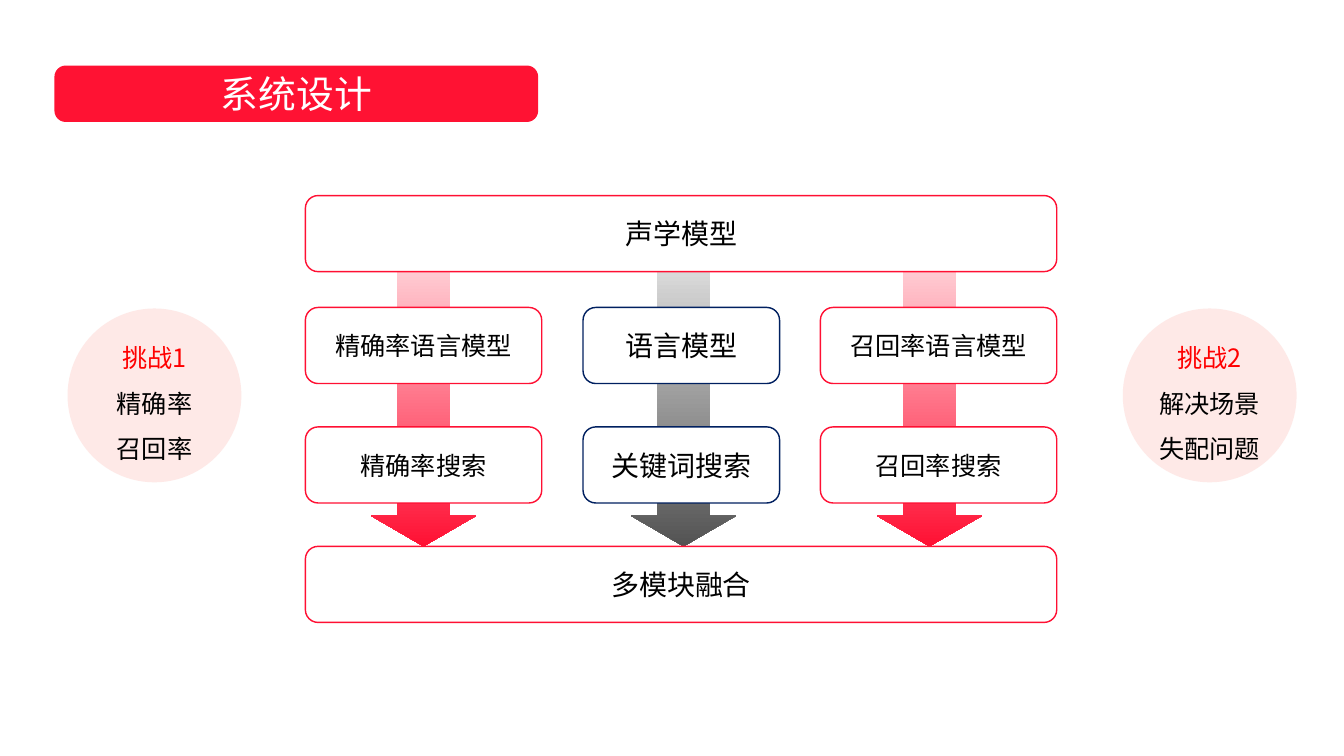
import pptx
import pptx.util
import pptx.dml.color
import pptx.enum.shapes
import pptx.enum.text
import pptx.oxml
import pptx.oxml.ns
from pptx.util import Inches

RGBColor = pptx.dml.color.RGBColor
SHAPES = pptx.enum.shapes.MSO_SHAPE

RED = RGBColor(0xFF, 0x10, 0x33)
TITLE_RED = RGBColor(0xFF, 0x12, 0x33)
LABEL_RED = RGBColor(0xFF, 0x00, 0x00)
PINK = RGBColor(0xFD, 0xD2, 0xCE)
NAVY = RGBColor(0x00, 0x20, 0x60)
GREY = RGBColor(0x53, 0x53, 0x53)
BLACK = RGBColor(0x00, 0x00, 0x00)
WHITE = RGBColor(0xFF, 0xFF, 0xFF)

FONT = "Noto Sans CJK SC"
BOX_HEIGHT = 1.51


def add_shape(slide, kind, left, top, width, height):
    shape = slide.shapes.add_shape(
        kind, Inches(left), Inches(top), Inches(width), Inches(height))
    shape.shadow.inherit = False
    shape.line.fill.background()
    return shape


def fill_solid(shape, color):
    shape.fill.solid()
    shape.fill.fore_color.rgb = color


def write_text(shape, lines, size, line_spacing=None):
    """Write centred paragraphs from (text, color) pairs."""
    frame = shape.text_frame
    frame.word_wrap = True
    frame.vertical_anchor = pptx.enum.text.MSO_ANCHOR.MIDDLE
    frame.margin_left = frame.margin_right = Inches(0.06)
    frame.margin_top = frame.margin_bottom = Inches(0.06)
    for index, (text, color) in enumerate(lines):
        paragraph = frame.add_paragraph() if index else frame.paragraphs[0]
        paragraph.alignment = pptx.enum.text.PP_ALIGN.CENTER
        if line_spacing:
            paragraph.line_spacing = line_spacing
        run = paragraph.add_run()
        run.text = text
        run.font.size = pptx.util.Pt(size)
        run.font.name = FONT
        run.font.color.rgb = color
        east_asian = pptx.oxml.parse_xml(
            f'<a:ea {pptx.oxml.ns.nsdecls("a")} typeface="{FONT}"/>')
        run.font._element.find(pptx.oxml.ns.qn("a:latin")).addnext(east_asian)


def add_title(slide, left, top, width, height):
    banner = add_shape(slide, SHAPES.ROUNDED_RECTANGLE, left, top, width, height)
    banner.adjustments[0] = 0.2
    fill_solid(banner, TITLE_RED)
    write_text(banner, [("系统设计", WHITE)], 54)


def add_challenge(slide, left, top, diameter, heading, lines):
    circle = add_shape(slide, SHAPES.OVAL, left, top, diameter, diameter)
    fill_solid(circle, PINK)
    color = circle.fill._xPr.find(".//" + pptx.oxml.ns.qn("a:srgbClr"))
    color.append(pptx.oxml.parse_xml(
        f'<a:alpha {pptx.oxml.ns.nsdecls("a")} val="48000"/>'))
    body = [(line, BLACK) for line in lines]
    write_text(circle, [(heading, LABEL_RED)] + body, 36, 1.5)


def add_arrow(slide, left, top, width, height, color):
    arrow = add_shape(slide, SHAPES.DOWN_ARROW, left, top, width, height)
    arrow.adjustments[0] = 0.5
    arrow.adjustments[1] = 0.29
    arrow.fill.gradient()
    arrow.fill.gradient_angle = 270
    for stop, stop_color in zip(arrow.fill.gradient_stops, (WHITE, color)):
        stop.color.rgb = stop_color


def add_box(slide, left, top, width, text, size, border):
    box = add_shape(slide, SHAPES.ROUNDED_RECTANGLE, left, top, width, BOX_HEIGHT)
    fill_solid(box, WHITE)
    box.line.color.rgb = border
    box.line.width = pptx.util.Pt(2)
    write_text(box, [(text, BLACK)], size)


def add_flow(slide, left, top, width, height):
    """Draw three columns of steps between a shared first and last step."""
    # Offset, width, arrow offset, text size, border, arrow color, steps
    columns = [
        (0, 4.69, 1.3, 36, RED, RED, ("精确率语言模型", "精确率搜索")),
        (5.51, 3.9, 6.46, 40, NAVY, GREY, ("语言模型", "关键词搜索")),
        (width - 4.69, 4.69, 11.34, 36, RED, RED, ("召回率语言模型", "召回率搜索")),
    ]
    last_top = top + height - BOX_HEIGHT
    for _, _, arrow_offset, _, _, color, _ in columns:
        add_arrow(slide, left + arrow_offset, top, 2.09, last_top - top, color)
    add_box(slide, left, top, width, "声学模型", 40, RED)
    for offset, box_width, _, size, border, _, steps in columns:
        for step_offset, text in zip((2.22, 4.59), steps):
            add_box(slide, left + offset, top + step_offset, box_width,
                    text, size, border)
    add_box(slide, left, last_top, width, "多模块融合", 40, RED)


def main():
    presentation = pptx.Presentation()
    presentation.slide_width = Inches(26.67)
    presentation.slide_height = Inches(15)
    slide = presentation.slides.add_slide(presentation.slide_layouts[6])
    add_title(slide, 1.08, 1.3, 9.6, 1.12)
    add_flow(slide, 6.06, 3.88, 14.91, 8.47)
    add_challenge(slide, 1.34, 6.12, 3.45, "挑战1", ["精确率", "召回率"])
    add_challenge(slide, 22.28, 6.12, 3.45, "挑战2", ["解决场景失配问题"])
    presentation.save("out.pptx")


if __name__ == "__main__":
    main()
